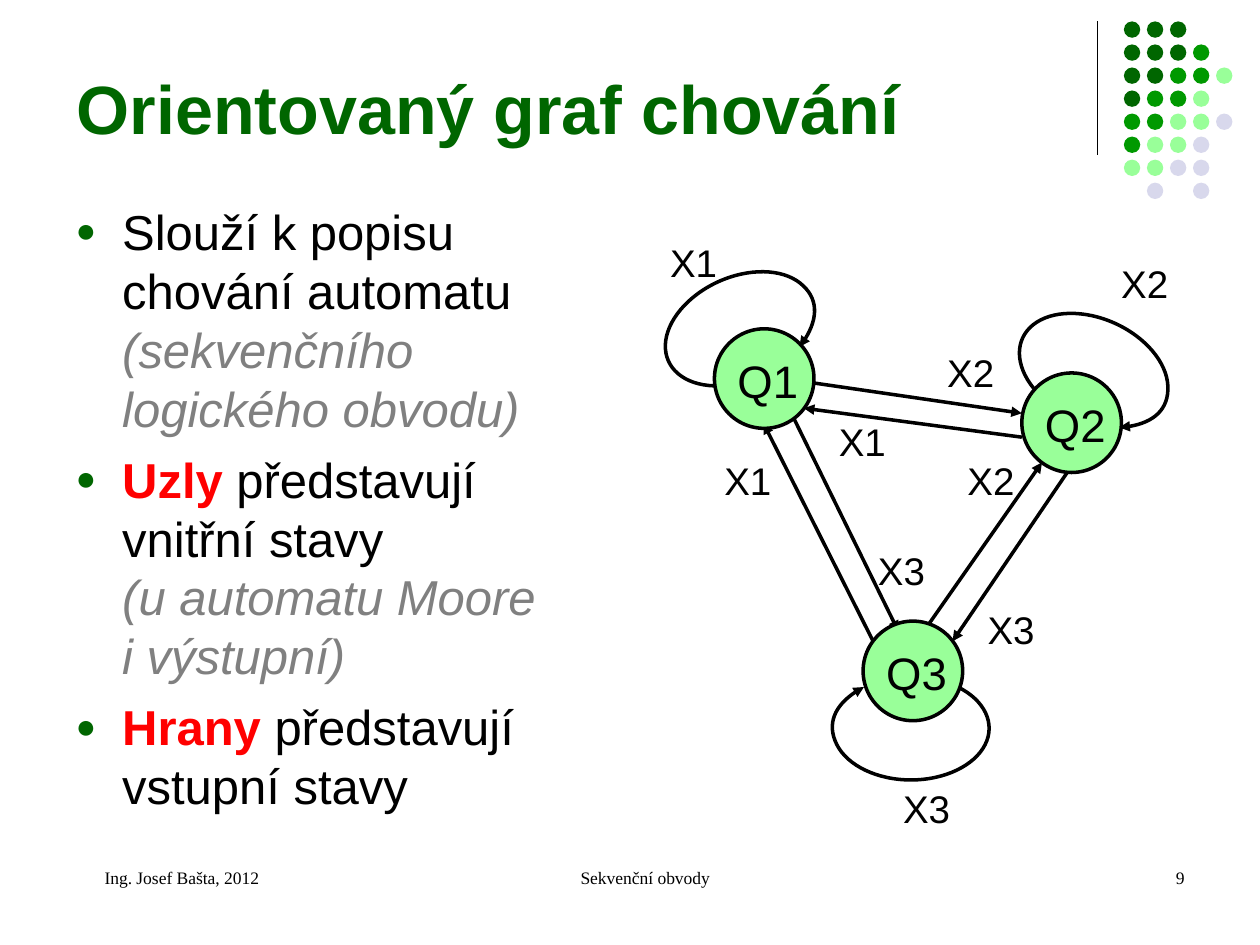
import copy
import dataclasses
import math

import lxml.etree
import pptx
import pptx.dml.color
import pptx.enum.shapes
import pptx.enum.text
import pptx.oxml.ns
import pptx.util

Inches = pptx.util.Inches
Pt = pptx.util.Pt
qn = pptx.oxml.ns.qn
Align = pptx.enum.text.PP_ALIGN
Anchor = pptx.enum.text.MSO_ANCHOR
OVAL = pptx.enum.shapes.MSO_SHAPE.OVAL
STRAIGHT = pptx.enum.shapes.MSO_CONNECTOR.STRAIGHT


@dataclasses.dataclass(frozen=True)
class Theme:
    """Colours, fonts and sizes of the slide."""
    dark: str = "006600"
    medium: str = "009900"
    light: str = "99FF99"
    pale: str = "D8D8EC"
    ink: str = "000000"
    muted: str = "808080"
    accent: str = "FF0000"
    sans: str = "Arial"
    serif: str = "Times New Roman"
    title_size: int = 39
    body_size: int = 28
    state_size: int = 26
    label_size: int = 22
    footer_size: int = 10
    rule_width: float = 0.75
    edge_width: float = 2


THEME = Theme()


def rgb(value):
    """Turn a hex string into a colour."""
    return pptx.dml.color.RGBColor.from_string(value)


def assign(target, **values):
    """Set each named attribute on the target."""
    for name, value in values.items():
        setattr(target, name, value)


def style_font(font, size, color=THEME.ink, name=THEME.sans, bold=False, italic=False):
    """Format a font."""
    assign(font, size=Pt(size), name=name, bold=bold, italic=italic)
    font.color.rgb = rgb(color)


def place(shape, box):
    """Move a shape to a box in inches."""
    assign(shape, **dict(zip(("left", "top", "width", "height"), map(Inches, box))))


def set_frame(frame, insets, anchor=Anchor.TOP):
    """Set wrapping, insets and anchor of a text frame."""
    sides = ("margin_left", "margin_top", "margin_right", "margin_bottom")
    assign(frame, word_wrap=True, auto_size=pptx.enum.text.MSO_AUTO_SIZE.NONE,
           vertical_anchor=anchor, **dict(zip(sides, map(Inches, insets))))


def add_text(slide, box, text, insets, align, size, name=THEME.sans):
    """Add a one-line text box."""
    caption = slide.shapes.add_textbox(*map(Inches, box))
    set_frame(caption.text_frame, insets)
    paragraph = caption.text_frame.paragraphs[0]
    paragraph.alignment = align
    run = paragraph.add_run()
    run.text = text
    style_font(run.font, size, name=name)


def style_line(line, width, arrow=False):
    """Draw a black line, with an arrowhead at its end if asked."""
    line.color.rgb = rgb(THEME.ink)
    line.width = Pt(width)
    if arrow:
        lxml.etree.SubElement(line._get_or_add_ln(), qn("a:tailEnd"), type="triangle")


def add_line(slide, start, end, width, arrow=False):
    """Add a straight line between two points."""
    line = slide.shapes.add_connector(STRAIGHT, *map(Inches, (*start, *end)))
    style_line(line.line, width, arrow)
    lxml.etree.SubElement(line._element.spPr, qn("a:effectLst"))


def add_circle(slide, left, top, diameter, color):
    """Add a filled circle without outline."""
    circle = slide.shapes.add_shape(OVAL, *map(Inches, (left, top, diameter, diameter)))
    circle.shadow.inherit = False
    circle.fill.solid()
    circle.fill.fore_color.rgb = rgb(color)
    circle.line.fill.background()
    return circle


def add_ornament(slide, left, top):
    """Place the vertical rule and the dot grid beside it."""
    add_line(slide, (left, top), (left, top + 1.06), THEME.rule_width)
    shades = {"D": THEME.dark, "M": THEME.medium, "L": THEME.light, "P": THEME.pale}
    rows = ("DDD", "DDDM", "DDMML", "DMML", "MMLLP", "MLLP", "LLPP", " P P")
    pitch = 1.28 / 7
    for row, dots in enumerate(rows):
        for column, dot in enumerate(dots):
            if dot in shades:
                add_circle(slide, left + 0.21 + column * pitch, top + row * pitch, 0.13, shades[dot])


def fill_title(slide, box):
    """Fill the title placeholder."""
    title = slide.shapes.title
    place(title, box)
    set_frame(title.text_frame, (0.1, 0.05, 0.1, 0.05), Anchor.BOTTOM)
    paragraph = title.text_frame.paragraphs[0]
    paragraph.alignment = Align.LEFT
    run = paragraph.add_run()
    run.text = "Orientovaný graf chování"
    style_font(run.font, THEME.title_size, THEME.dark, bold=True)


def add_bullet(paragraph):
    """Give a paragraph a green round bullet and a hanging indent."""
    properties = paragraph._p.get_or_add_pPr()
    properties.set("marL", str(Inches(0.37)))
    properties.set("indent", str(Inches(-0.37)))
    color = lxml.etree.SubElement(properties, qn("a:buClr"))
    lxml.etree.SubElement(color, qn("a:srgbClr"), val=THEME.dark)
    lxml.etree.SubElement(properties, qn("a:buSzPct"), val="70000")
    lxml.etree.SubElement(properties, qn("a:buFont"), typeface=THEME.sans)
    lxml.etree.SubElement(properties, qn("a:buChar"), char="●")


def fill_body(slide, box):
    """Fill the body placeholder with the bulleted list."""
    plain = {}
    note = {"color": THEME.muted, "italic": True}
    term = {"color": THEME.accent, "bold": True}
    items = (
        (("Slouží k popisu chování automatu ", plain), ("(sekvenčního logického obvodu)", note)),
        (("Uzly", term), (" představují vnitřní stavy \n", plain),
         ("(u automatu Moore \n", note), ("i výstupní)", note)),
        (("Hrany", term), (" představují vstupní stavy", plain)),
    )
    body = slide.placeholders[1]
    place(body, box)
    frame = body.text_frame
    set_frame(frame, (0.1, 0.05, 0.1, 0.05))
    for index, item in enumerate(items):
        paragraph = frame.add_paragraph() if index else frame.paragraphs[0]
        add_bullet(paragraph)
        assign(paragraph, alignment=Align.LEFT, space_before=Pt(7 if index else 0))
        for text, style in item:
            run = paragraph.add_run()
            run.text = text.rstrip("\n")
            style_font(run.font, THEME.body_size, **style)
            if text.endswith("\n"):
                paragraph.add_line_break()
                paragraph._p[-1].append(copy.deepcopy(run._r.rPr))


def add_loop(slide, center, turn):
    """Add an elliptical self-loop of four curves, turned by an angle in degrees."""
    turn = math.radians(turn)
    step = math.radians(286 / 4)
    reach = 4 / 3 * math.tan(step / 4)

    def point(angle, pull=0):
        x = 0.62 * (math.cos(angle) - pull * math.sin(angle))
        y = 0.41 * (math.sin(angle) + pull * math.cos(angle))
        return (Inches(center[0] + x * math.cos(turn) - y * math.sin(turn)),
                Inches(center[1] + x * math.sin(turn) + y * math.cos(turn)))

    angles = [math.radians(127) + step * index for index in range(5)]
    builder = slide.shapes.build_freeform(*point(angles[0]))
    for start, end in zip(angles, angles[1:]):
        builder.add_line_segments([point(start, reach), point(end, -reach), point(end)], close=False)
    loop = builder.convert_to_shape()
    segments = list(loop._element.iter(qn("a:lnTo")))
    for first in range(0, len(segments), 3):
        curve = lxml.etree.Element(qn("a:cubicBezTo"))
        segments[first].addprevious(curve)
        for segment in segments[first:first + 3]:
            curve.append(segment[0])
            segment.getparent().remove(segment)
    loop.shadow.inherit = False
    loop.fill.background()
    style_line(loop.line, THEME.edge_width, True)


def add_state_graph(slide, left, top):
    """Place the state graph: edges, self-loops, states and labels."""
    def at(x, y):
        return left + x, top + y

    edges = (((1.14, 1.46), (1.97, 3.15)), ((1.3, 1.18), (2.95, 1.42)),
             ((2.95, 1.61), (1.22, 1.38)), ((2.2, 3.11), (3.11, 1.81)),
             ((3.31, 1.89), (2.4, 3.23)), ((1.77, 3.23), (0.9, 1.5)))
    for start, end in edges:
        add_line(slide, at(*start), at(*end), THEME.edge_width, True)
    states = (("Q1", (0.51, 0.75), (0.71, 0.75), -24.5),
              ("Q2", (2.95, 1.1), (3.52, 1.08), 24.4),
              ("Q3", (1.69, 3.07), (2.07, 3.92), 180))
    for _, _, loop, turn in states:
        add_loop(slide, at(*loop), turn)
    insets = (0.1, 0.04, 0, 0.05)
    for name, corner, _, _ in states:
        x, y = at(*corner)
        state = add_circle(slide, x, y, 0.79, THEME.light)
        style_line(state.line, THEME.edge_width)
        add_text(slide, (x + 0.04, y + 0.15, 0.67, 0.52), name, insets, Align.CENTER, THEME.state_size)
    labels = {"X1": ((0, 0), (1.34, 1.42), (0.43, 1.73)),
              "X2": ((2.2, 0.87), (3.58, 0.16), (2.36, 1.73)),
              "X3": ((2.52, 2.91), (1.65, 2.44), (1.85, 4.33))}
    for name, corners in labels.items():
        for corner in corners:
            add_text(slide, (*at(*corner), 0.59, 0.46), name, insets, Align.CENTER, THEME.label_size)


def add_footer(slide, top):
    """Place author, subject and page number along the bottom."""
    parts = ((0.5, 2.33, "Ing. Josef Bašta, 2012", Align.LEFT),
             (3.42, 3.17, "Sekvenční obvody", Align.CENTER),
             (7.17, 2.33, "9", Align.RIGHT))
    for left, width, text, align in parts:
        add_text(slide, (left, top, width, 0.5), text, (0.33, 0.05, 0.1, 0.05),
                 align, THEME.footer_size, THEME.serif)


def main():
    """Build and save the slide."""
    deck = pptx.Presentation()
    assign(deck, slide_width=Inches(10), slide_height=Inches(7.5))
    slide = deck.slides.add_slide(deck.slide_layouts[1])
    add_ornament(slide, 8.71, 0.17)
    fill_title(slide, (0.51, 0.37, 8.25, 0.86))
    fill_body(slide, (0.5, 1.55, 4.34, 5.16))
    add_state_graph(slide, 5.16, 1.86)
    add_footer(slide, 6.83)
    deck.save("out.pptx")


if __name__ == "__main__":
    main()
